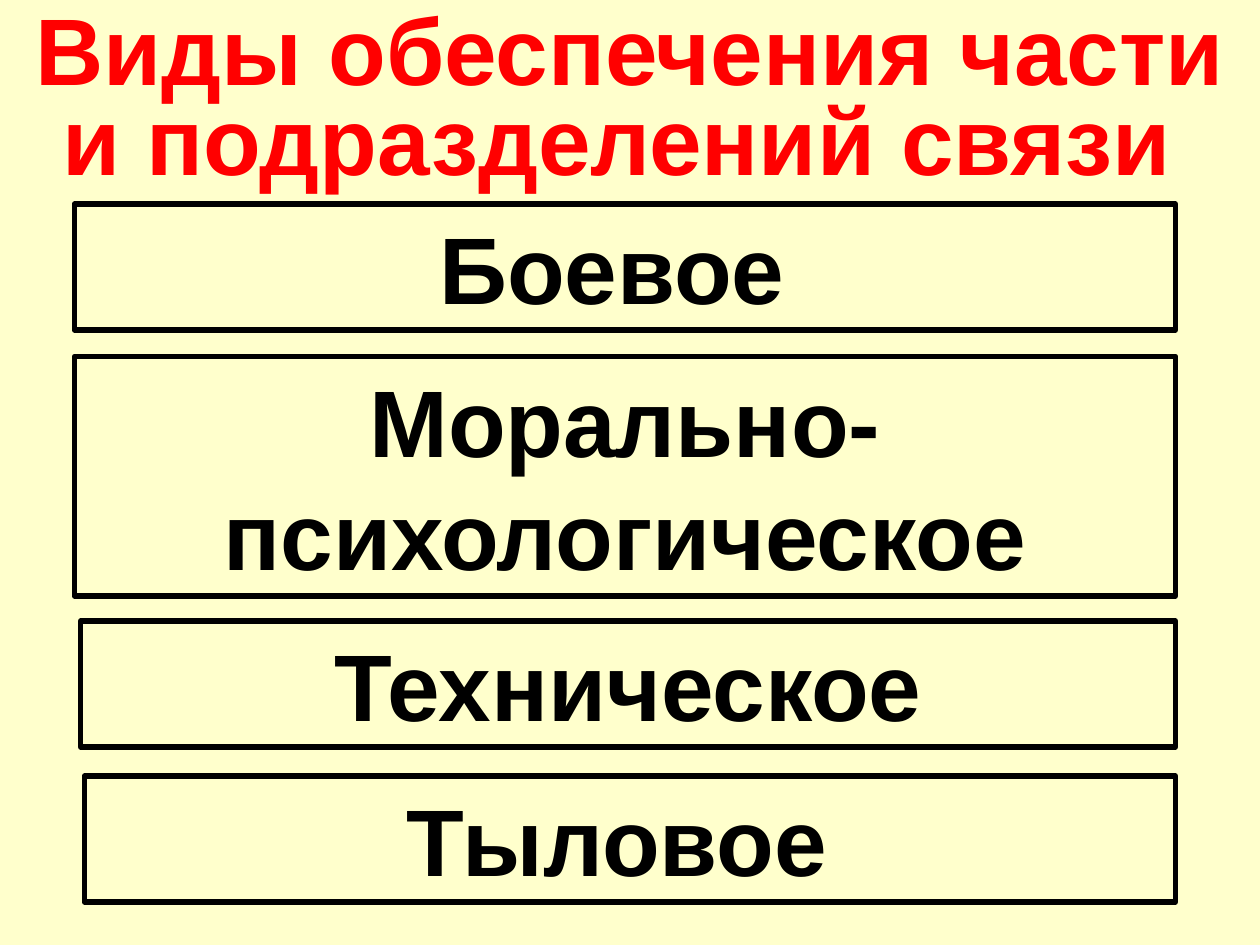
from pptx import Presentation
from pptx.dml.color import RGBColor
from pptx.enum.shapes import MSO_SHAPE
from pptx.enum.text import MSO_ANCHOR, PP_ALIGN
from pptx.util import Inches, Pt

RECTANGLE = MSO_SHAPE.RECTANGLE
TOP = MSO_ANCHOR.TOP
CENTER = PP_ALIGN.CENTER

COLORS = {"background": "FFFFCC", "title": "FF0000", "ink": "000000"}


def color(name):
    return RGBColor.from_string(COLORS[name])


class SlideBuilder:
    """Holds the text style and the current slide."""

    font_name = "Arial"
    font_size = Pt(54)
    border = Pt(3)

    def __init__(self, slide):
        self.slide = slide
        fill = slide.background.fill
        fill.solid()
        fill.fore_color.rgb = color("background")

    def set_text(self, shape, text, color_name, line_spacing=1.0):
        frame = shape.text_frame
        frame.word_wrap = True
        frame.vertical_anchor = TOP
        paragraph = frame.paragraphs[0]
        paragraph.text = text
        paragraph.alignment = CENTER
        paragraph.line_spacing = line_spacing
        paragraph.space_before = Pt(0)
        font = paragraph.font
        font.name = self.font_name
        font.size = self.font_size
        font.bold = True
        font.color.rgb = color(color_name)

    def title(self, text, left, top, width, height):
        shape = self.slide.shapes.add_textbox(
            Inches(left), Inches(top), Inches(width), Inches(height))
        self.set_text(shape, text, "title", line_spacing=0.8)

    def box(self, text, left, top, width, height):
        shape = self.slide.shapes.add_shape(
            RECTANGLE, Inches(left), Inches(top), Inches(width), Inches(height))
        shape.shadow.inherit = False
        shape.fill.solid()
        shape.fill.fore_color.rgb = color("background")
        shape.line.color.rgb = color("ink")
        shape.line.width = self.border
        self.set_text(shape, text, "ink")


def main():
    presentation = Presentation()
    presentation.slide_width = Inches(10)
    presentation.slide_height = Inches(7.5)
    builder = SlideBuilder(
        presentation.slides.add_slide(presentation.slide_layouts[6]))

    # Title
    builder.title("Виды обеспечения части и подразделений связи ",
                  0, 0.05, 10, 1.54)

    # Kinds of support: text, left, top, height; right edges line up
    right_edge = 9.33
    for text, left, top, height in (
        ("Боевое ", 0.59, 1.62, 1),
        ("Морально-психологическое", 0.59, 2.83, 1.9),
        ("Техническое", 0.64, 4.93, 1),
        ("Тыловое ", 0.67, 6.16, 1),
    ):
        builder.box(text, left, top, right_edge - left, height)

    presentation.save("out.pptx")


if __name__ == "__main__":
    main()
